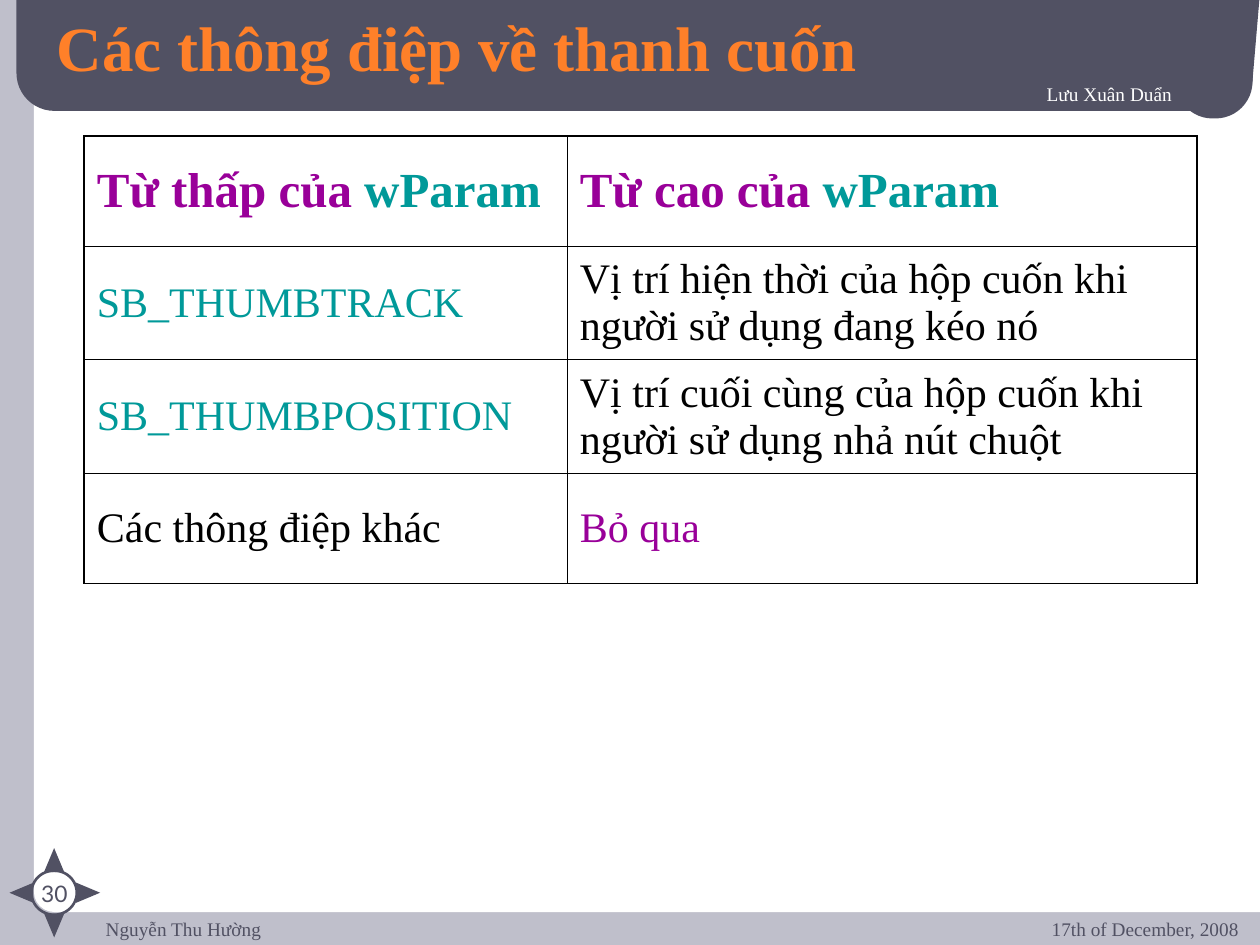
import pptx
import pptx.util
import pptx.dml.color
import pptx.enum.shapes
import pptx.enum.text
import pptx.oxml
import pptx.oxml.ns

Pt = pptx.util.Pt
SHAPE = pptx.enum.shapes.MSO_SHAPE
ALIGN = pptx.enum.text.PP_ALIGN
ANCHOR = pptx.enum.text.MSO_ANCHOR
NS = pptx.oxml.ns.nsdecls("a")
COLORS = {
    "frame": "BFBFCB", "panel": "FFFFFF", "slate": "515163", "title": "FF8029",
    "purple": "990099", "teal": "009999", "black": "000000",
}


def rgb(name):
    return pptx.dml.color.RGBColor.from_string(COLORS[name])


def add_run(paragraph, text, color, size, bold=False, face="Times New Roman", shadow=False):
    run = paragraph.add_run()
    run.text = text
    for key, value in {"size": Pt(size), "bold": bold, "name": face}.items():
        setattr(run.font, key, value)
    run.font.color.rgb = rgb(color)
    if shadow:
        fill = run.font._element.find(pptx.oxml.ns.qn("a:solidFill"))
        fill.addnext(pptx.oxml.parse_xml(
            f'<a:effectLst {NS}><a:outerShdw dist="17961" dir="2700000">'
            f'<a:srgbClr val="{COLORS["black"]}"/></a:outerShdw></a:effectLst>'))


deck = pptx.Presentation()
deck.slide_width, deck.slide_height = Pt(720), Pt(540)
slide = deck.slides.add_slide(deck.slide_layouts[5])
slide.background.fill.solid()
slide.background.fill.fore_color.rgb = rgb("frame")

# White panel, dark header band and compass points: kind, box, colour, rotation, corner
ornaments = [
    (SHAPE.ROUNDED_RECTANGLE, (19.4, -9.4, 720.7, 530.6), "panel", 0, 0.022),
    (SHAPE.ROUNDED_RECTANGLE, (9.4, -25.9, 706.3, 89.3), "slate", 0, 0.242),
    (SHAPE.ROUNDED_RECTANGLE, (671.8, 20.9, 43.9, 46.8), "slate", 0, 0.48),
    (SHAPE.RIGHT_TRIANGLE, (690.8, 19, 54, 4.6), "slate", 90, None),
    (SHAPE.ISOSCELES_TRIANGLE, (44.6, 503.3, 11.5, 13.7), "slate", 90, None),
    (SHAPE.ISOSCELES_TRIANGLE, (6.5, 503.3, 11.5, 13.7), "slate", 270, None),
    (SHAPE.ISOSCELES_TRIANGLE, (25.2, 484.6, 11.5, 13.7), "slate", 0, None),
    (SHAPE.ISOSCELES_TRIANGLE, (25.2, 522, 11.5, 13.7), "slate", 180, None),
]
for kind, box, color, rotation, corner in ornaments:
    ornament = slide.shapes.add_shape(kind, *map(Pt, box))
    ornament.shadow.inherit = False
    ornament.fill.solid()
    ornament.fill.fore_color.rgb = rgb(color)
    ornament.line.fill.background()
    ornament.rotation = rotation
    if corner is not None:
        ornament.adjustments[0] = corner

# Ring around the page number
ring = slide.shapes.add_shape(SHAPE.OVAL, Pt(18), Pt(497.5), Pt(25.9), Pt(25.2))
ring.shadow.inherit = False
ring.fill.background()
ring.line.color.rgb = rgb("slate")
ring.line.width = Pt(1.5)

# Header and footer labels: text, box, alignment, vertical inset, run format
labels = [
    ("Nguyễn Thu Hường", (53.3, 524.2, 557.3, 23.8), ALIGN.LEFT, 0,
     {"color": "slate", "size": 11}),
    ("30", (10.1, 499, 41.8, 15.8), ALIGN.CENTER, 3.6,
     {"color": "slate", "size": 13, "face": "Lato"}),
    ("Lưu Xuân Duẩn", (218.2, 43.2, 458.6, 27.4), ALIGN.RIGHT, 3.6,
     {"color": "panel", "size": 11, "shadow": True}),
    ("17th of December, 2008", (541.4, 520.6, 173.5, 30.2), ALIGN.RIGHT, 3.6,
     {"color": "slate", "size": 11}),
]
for text, box, alignment, inset, style in labels:
    frame = slide.shapes.add_textbox(*map(Pt, box)).text_frame
    frame.word_wrap = True
    frame.margin_top = frame.margin_bottom = Pt(inset)
    frame.paragraphs[0].alignment = alignment
    add_run(frame.paragraphs[0], text, **style)

# Title, brought in front of the band
title = slide.shapes.title
title_box = {"left": 25.2, "top": 5.8, "width": 601.9, "height": 41}
for key, value in title_box.items():
    setattr(title, key, Pt(value))
title.text_frame.vertical_anchor = ANCHOR.MIDDLE
title.text_frame.paragraphs[0].alignment = ALIGN.LEFT
add_run(title.text_frame.paragraphs[0], "Các thông điệp về thanh cuốn",
        "title", 36, bold=True, shadow=True)
slide.shapes._spTree.append(title._element)

# Message table: every cell is a list of (text, colour)
messages = [
    [[("Từ thấp của ", "purple"), ("wParam", "teal")],
     [("Từ cao của ", "purple"), ("wParam", "teal")]],
    [[("SB_THUMBTRACK", "teal")],
     [("Vị trí hiện thời của hộp cuốn khi người sử dụng đang kéo nó", "black")]],
    [[("SB_THUMBPOSITION", "teal")],
     [("Vị trí cuối cùng của hộp cuốn khi người sử dụng nhả nút chuột", "black")]],
    [[("Các thông điệp khác", "black")], [("Bỏ qua", "purple")]],
]
column_widths = [276, 360]
row_heights = [62.8, 65, 65, 62.8]
table = slide.shapes.add_table(4, 2, Pt(48.2), Pt(77.8), Pt(636), Pt(255.6)).table
table.first_row = table.horz_banding = False
for column, width in zip(table.columns, column_widths):
    column.width = Pt(width)
for row, height in zip(table.rows, row_heights):
    row.height = Pt(height)

for r, row in enumerate(messages):
    for c, parts in enumerate(row):
        cell = table.cell(r, c)
        cell.fill.background()
        cell.vertical_anchor = ANCHOR.MIDDLE
        paragraph = cell.text_frame.paragraphs[0]
        paragraph.space_before = Pt(17.5 if r == 0 else 15)
        for text, color in parts:
            add_run(paragraph, text, color, 28 if r == 0 else 24, bold=r == 0)
        # Outer edges are heavier than inner ones
        outer_edges = {"lnL": c == 0, "lnR": c == 1, "lnT": r == 0, "lnB": r == 3}
        for i, (edge, outer) in enumerate(outer_edges.items()):
            width = Pt(1.08 if outer else 0.45)
            cell._tc.get_or_add_tcPr().insert(i, pptx.oxml.parse_xml(
                f'<a:{edge} {NS} w="{width}"><a:solidFill>'
                f'<a:srgbClr val="{COLORS["black"]}"/></a:solidFill></a:{edge}>'))

deck.save("out.pptx")
